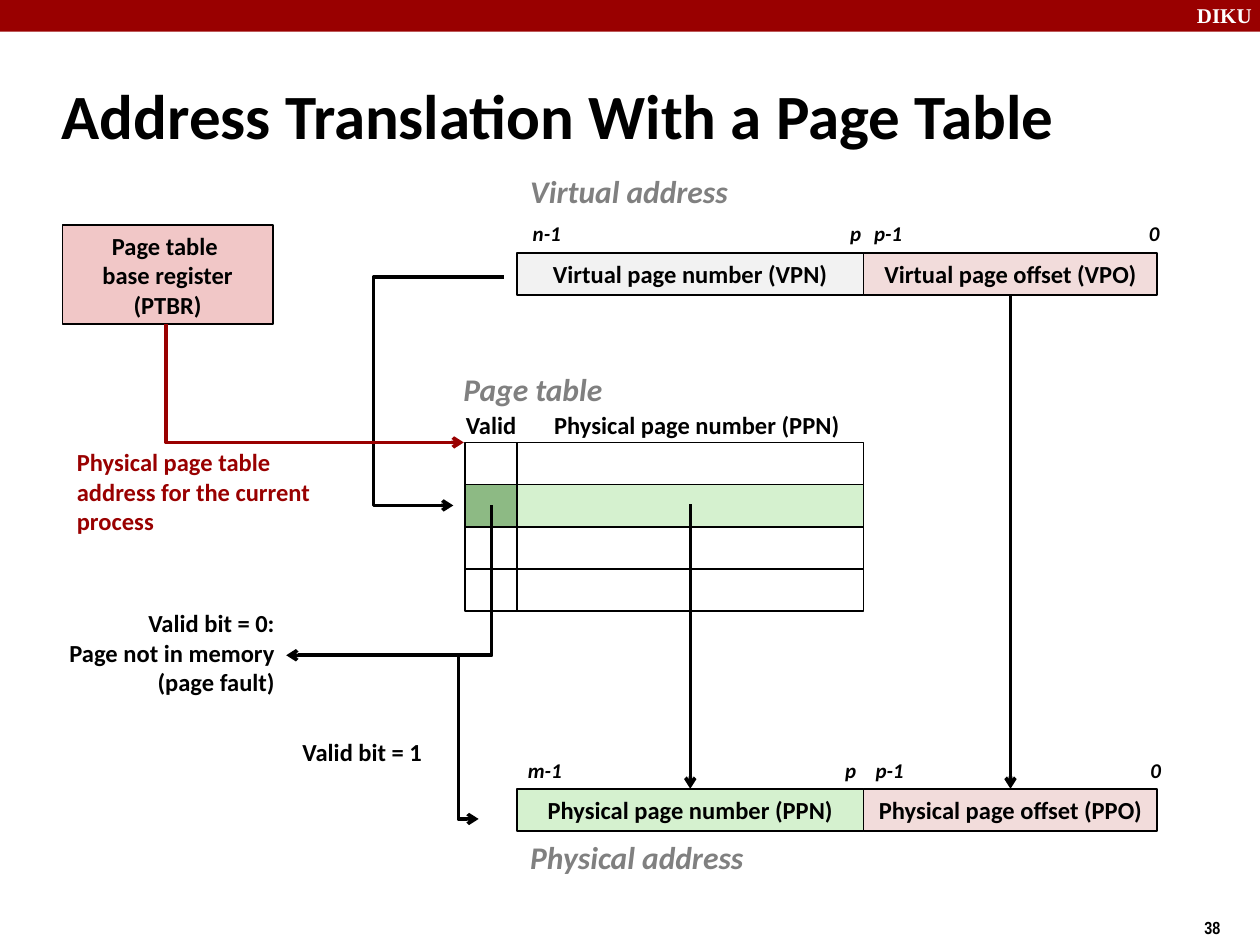
"""Build a slide on translating addresses with a page table."""
from lxml.etree import SubElement
from pptx import Presentation
from pptx.dml.color import RGBColor
from pptx.enum.shapes import MSO_CONNECTOR as LINK, MSO_SHAPE as SHAPE
from pptx.enum.text import MSO_ANCHOR as ANCHOR, MSO_AUTO_SIZE as FIT, PP_ALIGN as ALIGN
from pptx.oxml.ns import qn
from pptx.util import Cm, Pt

BLACK = RGBColor(0x00, 0x00, 0x00)
WHITE = RGBColor(0xFF, 0xFF, 0xFF)
GREY = RGBColor(0x80, 0x80, 0x80)
RED = RGBColor(0x99, 0x00, 0x00)
LIGHT_GREY = RGBColor(0xF2, 0xF2, 0xF2)
ROSE = RGBColor(0xF2, 0xDC, 0xDB)
PINK = RGBColor(0xF1, 0xC7, 0xC7)
LIGHT_GREEN = RGBColor(0xD5, 0xF1, 0xCF)
GREEN = RGBColor(0x8D, 0xBA, 0x84)

TITLE = "Address Translation With a Page Table"
NUMBER_X, NUMBER_WIDTH = 10.42, 6.99
OFFSET_X, OFFSET_WIDTH = 17.41, 5.92
VALID_X, VALID_WIDTH = 9.37, 1.06
ROW_HEIGHT = 0.85
VIRTUAL_Y, TABLE_Y, PHYSICAL_Y = 5.1, 8.92, 15.9
ROW_FILLS = [(None, None), (LIGHT_GREEN, GREEN), (None, None), (None, None)]

ADDRESSES = [
    (VIRTUAL_Y, "Virtual page number (VPN)", LIGHT_GREY, "Virtual page offset (VPO)"),
    (PHYSICAL_Y, "Physical page number (PPN)", LIGHT_GREEN, "Physical page offset (PPO)"),
]
BIT_LABELS = [
    (4.32, [("0", 22.91, 0.71), ("p-1", 17.37, 1.07), ("p", 16.89, 0.74), ("n-1", 10.49, 1.07)]),
    (15.14, [("0", 22.94, 0.71), ("p-1", 17.4, 1.07), ("p", 16.79, 0.74), ("m-1", 10.39, 1.19)]),
]
HEADINGS = [
    ("Virtual address", 10.44, 3.35, 4.5),
    ("Physical address", 10.44, 16.76, 4.8),
    ("Page table", 9.09, 7.34, 3.61),
]
NOTES = [
    (["Valid"], (9.14, 8.15, 1.52, 0.84), BLACK, ALIGN.LEFT),
    (["Physical page number (PPN)"], (10.92, 8.15, 6.4, 0.84), BLACK, ALIGN.LEFT),
    (["Physical page table", "address for the current", "process"],
     (1.3, 8.89, 5.21, 2.03), RED, ALIGN.LEFT),
    (["Valid bit = 0:", "Page not in memory", "(page fault)"],
     (1.14, 12.14, 4.65, 2.03), BLACK, ALIGN.RIGHT),
    (["Valid bit = 1"], (5.84, 14.73, 2.92, 0.84), BLACK, ALIGN.RIGHT),
]
SIDE_LOOPS = [((9.91, 13.21), (9.65, 16.51)), ((10.16, 5.59), (9.14, 10.19))]
DOWN_TURNS = [((9.91, 10.19), (5.77, 13.21), BLACK), ((3.35, 6.53), (9.35, 8.92), RED)]
LOOP_REACH = 258000


def write(frame, lines, size, color=BLACK, align=ALIGN.LEFT, font="Calibri", italic=False):
    for index, line in enumerate(lines):
        paragraph = frame.add_paragraph() if index else frame.paragraphs[0]
        paragraph.alignment = align
        for part_index, part in enumerate(line.split("\n")):
            if part_index:
                paragraph.add_line_break()
            run = paragraph.add_run()
            run.text = part
            run.font.name, run.font.size = font, Pt(size)
            run.font.bold, run.font.italic = True, italic
            run.font.color.rgb = color


def add_label(slide, lines, box, size, wrap=False, **style):
    frame = slide.shapes.add_textbox(*map(Cm, box)).text_frame
    frame.word_wrap = wrap
    write(frame, lines, size, **style)


def add_box(slide, box, fill=None, lines=(), outline=BLACK):
    shape = slide.shapes.add_shape(SHAPE.RECTANGLE, *map(Cm, box))
    shape.shadow.inherit = False
    if fill is None:
        shape.fill.background()
    else:
        shape.fill.solid()
        shape.fill.fore_color.rgb = fill
    if outline is None:
        shape.line.fill.background()
    else:
        shape.line.color.rgb = outline
        shape.line.width = Pt(1)
    shape.text_frame.vertical_anchor = ANCHOR.MIDDLE
    write(shape.text_frame, lines, 14, align=ALIGN.CENTER)
    return shape


def add_arrow(slide, kind, start, end, color=BLACK):
    arrow = slide.shapes.add_connector(kind, *map(Cm, start + end))
    arrow.line.color.rgb = color
    arrow.line.width = Pt(2)
    properties = arrow._element.spPr
    SubElement(properties.find(qn("a:ln")), qn("a:tailEnd"), type="arrow")
    SubElement(properties, qn("a:effectLst"))
    return arrow


def add_side_loop(slide, start, end):
    arrow = add_arrow(slide, LINK.ELBOW, start, end)
    geometry = arrow._element.spPr.find(qn("a:prstGeom"))
    adjustments = geometry.find(qn("a:avLst"))
    if adjustments is None:
        adjustments = SubElement(geometry, qn("a:avLst"))
    SubElement(adjustments, qn("a:gd"), name="adj1", fmla=f"val {LOOP_REACH}")


def add_down_turn(slide, start, end, color):
    arrow = add_arrow(slide, LINK.ELBOW, start, end, color)
    across, down = abs(end[0] - start[0]), end[1] - start[1]
    arrow.left = Cm((start[0] + end[0] - down) / 2)
    arrow.top = Cm((start[1] + end[1] - across) / 2)
    arrow.width, arrow.height = Cm(down), Cm(across)
    properties = arrow._element.spPr
    properties.find(qn("a:prstGeom")).set("prst", "bentConnector2")
    transform = properties.find(qn("a:xfrm"))
    goes_right = end[0] > start[0]
    transform.set("rot", str((270 if goes_right else 90) * 60000))
    transform.set("flipH", "1" if goes_right else "0")


def add_title(slide):
    title = slide.shapes.title
    title.left, title.top, title.width, title.height = map(Cm, (0.99, 1.24, 21.08, 2.11))
    frame = title.text_frame
    frame.word_wrap, frame.auto_size = True, FIT.NONE
    frame.vertical_anchor = ANCHOR.MIDDLE
    write(frame, [TITLE], 36)


def main():
    presentation = Presentation()
    presentation.slide_width, presentation.slide_height = Cm(25.4), Cm(19.05)
    slide = presentation.slides.add_slide(presentation.slide_layouts[5])

    add_box(slide, (0, 0, 25.4, 0.64), RED, outline=None)
    add_label(slide, ["DIKU"], (23.88, -0.08, 1.7, 0.76), 12, wrap=True,
              color=WHITE, font="Times New Roman")
    add_label(slide, ["38"], (24.03, 18.36, 1.9, 0.69), 10, font="Arial Narrow")
    add_title(slide)

    number_boxes, offset_boxes = [], []
    for y, number, fill, offset in ADDRESSES:
        number_boxes.append(
            add_box(slide, (NUMBER_X, y, NUMBER_WIDTH, ROW_HEIGHT), fill, [number]))
        offset_boxes.append(
            add_box(slide, (OFFSET_X, y, OFFSET_WIDTH, ROW_HEIGHT), ROSE, [offset]))
    for row, (number_fill, valid_fill) in enumerate(ROW_FILLS):
        y = TABLE_Y + row * ROW_HEIGHT
        add_box(slide, (NUMBER_X, y, NUMBER_WIDTH, ROW_HEIGHT), number_fill)
        add_box(slide, (VALID_X, y, VALID_WIDTH, ROW_HEIGHT), valid_fill)
    add_box(slide, (1.26, 4.54, 4.24, 2), PINK, ["Page table \nbase register", "(PTBR)"])

    for text, x, y, width in HEADINGS:
        add_label(slide, [text], (x, y, width, 1.02), 18, color=GREY, italic=True)
    for lines, box, color, align in NOTES:
        add_label(slide, lines, box, 14, color=color, align=align)
    for y, labels in BIT_LABELS:
        for text, x, width in labels:
            add_label(slide, [text], (x, y, width, 0.76), 12, italic=True)

    for start, end in SIDE_LOOPS:
        add_side_loop(slide, start, end)
    for start, end, color in DOWN_TURNS:
        add_down_turn(slide, start, end, color)
    number_middle = NUMBER_X + NUMBER_WIDTH / 2
    offset_middle = OFFSET_X + OFFSET_WIDTH / 2
    number_arrow = add_arrow(slide, LINK.STRAIGHT, (number_middle, 10.16),
                             (number_middle, PHYSICAL_Y))
    number_arrow.end_connect(number_boxes[1], 0)
    offset_arrow = add_arrow(slide, LINK.STRAIGHT, (offset_middle, VIRTUAL_Y + ROW_HEIGHT),
                             (offset_middle, PHYSICAL_Y))
    offset_arrow.begin_connect(offset_boxes[0], 2)
    offset_arrow.end_connect(offset_boxes[1], 0)

    presentation.save("out.pptx")


if __name__ == "__main__":
    main()
